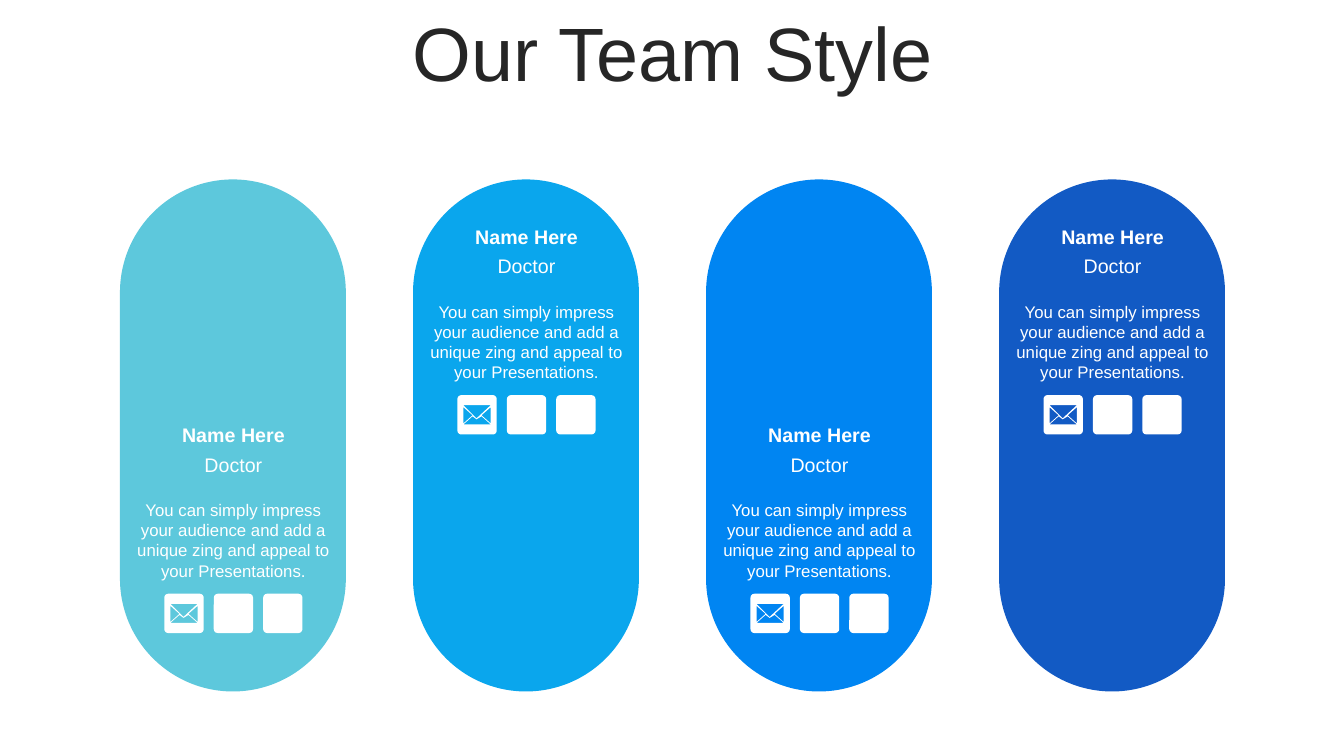
"""Build the team slide with four rounded member panels."""
import math

import pptx
import pptx.dml.color
import pptx.enum.shapes
import pptx.enum.text
import pptx.util

Inches = pptx.util.Inches
Pt = pptx.util.Pt
RGBColor = pptx.dml.color.RGBColor
ROUNDED = pptx.enum.shapes.MSO_SHAPE.ROUNDED_RECTANGLE
ANCHOR = pptx.enum.text.MSO_ANCHOR
AUTO_SIZE = pptx.enum.text.MSO_AUTO_SIZE
ALIGN = pptx.enum.text.PP_ALIGN

WHITE = RGBColor(0xFF, 0xFF, 0xFF)
INK = RGBColor(0x26, 0x26, 0x26)
AQUA = RGBColor(0x5D, 0xC8, 0xDC)
SKY = RGBColor(0x0A, 0xA6, 0xED)
AZURE = RGBColor(0x00, 0x85, 0xF2)
NAVY = RGBColor(0x12, 0x5A, 0xC4)

PANEL_COLORS = (AQUA, SKY, AZURE, NAVY)
PANEL_LEFT, PANEL_TOP, PANEL_PITCH = 1.19, 1.78, 8.72 / 3
PANEL_WIDTH, PANEL_HEIGHT = 2.24, 5.08
TEXT_TOPS = (4.18, 2.21)
TILE, TILE_PITCH, CORNER = 0.39, 0.49, 0.04

TITLE_FONT = {"name": "Arial", "size": Pt(54), "color": INK}
NAME_FONT = {"name": "Arial", "size": Pt(14), "color": WHITE, "bold": True}
ROLE_FONT = {"name": "Arial", "size": Pt(14), "color": WHITE}
BODY_FONT = {"name": "Arial", "size": Pt(12), "color": WHITE}

BODY = ("You can simply impress your audience and add a unique zing "
        "and appeal to your Presentations.")

ENVELOPE = (
    ((0.06, 0.1), (0.19, 0.23), (0.33, 0.1)),
    ((0.06, 0.12), (0.06, 0.28), (0.15, 0.2)),
    ((0.33, 0.12), (0.25, 0.19), (0.24, 0.2), (0.33, 0.28)),
    ((0.24, 0.21), (0.19, 0.24), (0.15, 0.21), (0.06, 0.29), (0.33, 0.29)),
)


def paint(sp, color):
    """Give a shape a plain fill without line or shadow."""
    sp.shadow.inherit = False
    sp.fill.solid()
    sp.fill.fore_color.rgb = color
    sp.line.fill.background()


def add_rounded(s, left, top, width, height, color, radius):
    """Add a rounded rectangle with a relative corner radius."""
    sp = s.shapes.add_shape(ROUNDED, Inches(left), Inches(top),
                            Inches(width), Inches(height))
    sp.adjustments[0] = radius
    paint(sp, color)


def add_text(s, left, top, width, height, text, font,
             anchor=ANCHOR.MIDDLE, auto_size=AUTO_SIZE.NONE, spacing=1.0):
    """Add a centred, wrapping text box."""
    sp = s.shapes.add_textbox(Inches(left), Inches(top),
                              Inches(width), Inches(height))
    tf = sp.text_frame
    frame = {"word_wrap": True, "vertical_anchor": anchor, "auto_size": auto_size}
    for key, value in frame.items():
        setattr(tf, key, value)
    p = tf.paragraphs[0]
    p.alignment, p.line_spacing = ALIGN.CENTER, spacing
    r = p.add_run()
    r.text = text
    for key, value in font.items():
        if key == "color":
            r.font.color.rgb = value
        else:
            setattr(r.font, key, value)


def rounded_outline():
    """Return the points around a tile with rounded corners."""
    near, far = CORNER, TILE - CORNER
    centers = ((far, far), (near, far), (near, near), (far, near))
    return [(x + CORNER * math.cos(math.radians(90 * i + step)),
             y + CORNER * math.sin(math.radians(90 * i + step)))
            for i, (x, y) in enumerate(centers) for step in range(0, 91, 15)]


def add_mail_icon(s, left, top):
    """Add a white tile with an envelope cut out of it."""
    contours = [[(Inches(left + x), Inches(top + y)) for x, y in contour]
                for contour in (rounded_outline(), *ENVELOPE)]
    builder = s.shapes.build_freeform(*contours[0][0])
    builder.add_line_segments(contours[0][1:], close=True)
    for start, *rest in contours[1:]:
        builder.move_to(*start)
        builder.add_line_segments(rest, close=True)
    paint(builder.convert_to_shape(), WHITE)


def add_member(s, left, top):
    """Add one member's name, role, description and contact tiles."""
    add_text(s, left, top, 2.25, 0.27, "Name Here", NAME_FONT)
    add_text(s, left, top + 0.29, 2.25, 0.27, "Doctor", ROLE_FONT)
    add_text(s, left, top + 0.73, 2.25, 0.91, BODY, BODY_FONT,
             ANCHOR.TOP, AUTO_SIZE.SHAPE_TO_FIT_TEXT)
    icon_left, icon_top = left + 0.44, top + 1.71
    add_mail_icon(s, icon_left, icon_top)
    for i in (1, 2):
        add_rounded(s, icon_left + i * TILE_PITCH, icon_top, TILE, TILE,
                    WHITE, CORNER / TILE)


def main():
    """Create and save the presentation."""
    prs = pptx.Presentation()
    prs.slide_width, prs.slide_height = Inches(13.33), Inches(7.5)
    s = prs.slides.add_slide(prs.slide_layouts[6])
    add_text(s, 0.34, 0.17, 12.66, 0.79, "Our Team Style", TITLE_FONT, spacing=0.9)
    for i, color in enumerate(PANEL_COLORS):
        left = PANEL_LEFT + i * PANEL_PITCH
        add_rounded(s, left, PANEL_TOP, PANEL_WIDTH, PANEL_HEIGHT, color, 0.5)
        add_member(s, left, TEXT_TOPS[i % 2])
    prs.save("out.pptx")


if __name__ == "__main__":
    main()
